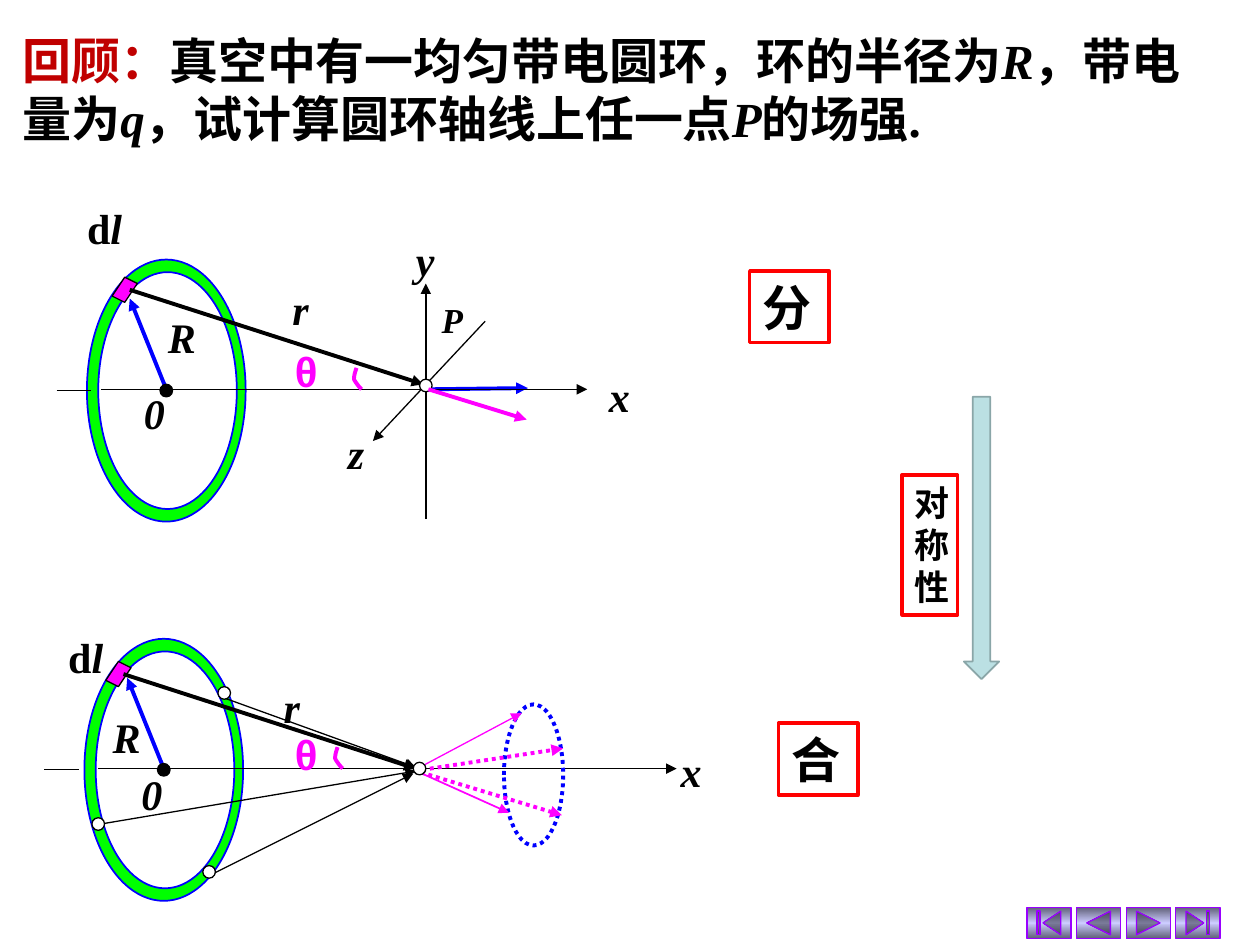
from copy import deepcopy

from lxml.etree import SubElement
from pptx import Presentation
from pptx.dml.color import RGBColor
from pptx.enum.dml import MSO_LINE
from pptx.enum.shapes import MSO_CONNECTOR, MSO_SHAPE
from pptx.enum.text import MSO_ANCHOR, MSO_AUTO_SIZE, PP_ALIGN
from pptx.oxml.ns import qn
from pptx.util import Inches, Pt

COLUMNS = 100
BLACK, WHITE, BLUE, PINK, GREEN, RED = "000000", "FFFFFF", "0000FF", "FF00FF", "00FF00", "FF0000"
ITALIC = {"italic": True}


def colour(code):
    return RGBColor.from_string(code)


def bezier(start, first, second, end, steps=8):
    for step in range(1, steps + 1):
        t = step / steps
        weights = ((1 - t) ** 3, 3 * t * (1 - t) ** 2, 3 * t * t * (1 - t), t ** 3)
        points = (start, first, second, end)
        yield tuple(sum(w * p[axis] for w, p in zip(weights, points)) for axis in (0, 1))


class Board:
    font = {"name": "Times New Roman", "size": Pt(24), "bold": True, "italic": False}

    def __init__(self, deck):
        self.unit = deck.slide_width / COLUMNS
        self.page = deck.slides.add_slide(deck.slide_layouts[6])
        self.shapes = self.page.shapes

    def grid(self, *lengths):
        return [round(length * self.unit) for length in lengths]

    def start_group(self):
        self.shapes = self.page.shapes.add_group_shape().shapes

    def end_group(self):
        self.shapes = self.page.shapes

    def outline(self, line, code, width, dash=None):
        line.color.rgb = colour(code)
        for name, value in {"width": Pt(width), "dash_style": dash}.items():
            setattr(line, name, value)

    def finish(self, shape, fill, code, width, dash=None):
        shape.shadow.inherit = False
        if fill:
            shape.fill.solid()
            shape.fill.fore_color.rgb = colour(fill)
        else:
            shape.fill.background()
        self.outline(shape.line, code, width, dash)
        return shape

    def shape(self, kind, place, fill, code, width, dash=None):
        shape = self.shapes.add_shape(kind, *self.grid(*place))
        return self.finish(shape, fill, code, width, dash)

    def ellipse(self, *style):
        return self.shape(MSO_SHAPE.OVAL, *style)

    def dot(self, x, y, fill):
        self.ellipse((x - 0.5, y - 0.5, 1, 1), fill, BLACK, 0.75)

    def polyline(self, points, fill, code, width, closed):
        start, *rest = [self.grid(*point) for point in points]
        builder = self.shapes.build_freeform(*start)
        builder.add_line_segments(rest, close=closed)
        self.finish(builder.convert_to_shape(), fill, code, width)

    def line(self, start, end, code=BLACK, width=0.75, dash=None, arrow=True):
        line = self.shapes.add_connector(MSO_CONNECTOR.STRAIGHT, *self.grid(*start, *end))
        self.outline(line.line, code, width, dash)
        if arrow:
            SubElement(line.line._get_or_add_ln(), qn("a:tailEnd"), type="triangle")
        SubElement(line._element.spPr, qn("a:effectLst"))

    def fill_text(self, box, spans, wrap, align, **changes):
        frame = box.text_frame
        settings = {"word_wrap": wrap, "auto_size": MSO_AUTO_SIZE.SHAPE_TO_FIT_TEXT,
                    "vertical_anchor": MSO_ANCHOR.TOP}
        for name, value in settings.items():
            setattr(frame, name, value)
        para = frame.paragraphs[0]
        para.alignment = align
        for text, code, extra in spans:
            span = para.add_run()
            span.text = text
            span.font.color.rgb = colour(code)
            for name, value in {**self.font, **changes, **extra}.items():
                setattr(span.font, name, value)

    def text(self, place, spans, wrap=False, align=PP_ALIGN.CENTER, **changes):
        box = self.shapes.add_textbox(*self.grid(*place))
        self.fill_text(box, spans, wrap, align, **changes)

    def label(self, letter, x, y, width=3.7, height=5, code=BLACK, **changes):
        self.text((x, y, width, height), [(letter, code, {})], **{**ITALIC, **changes})

    def framed(self, words, place, size):
        box = self.shape(MSO_SHAPE.RECTANGLE, place, None, RED, 2)
        self.fill_text(box, [(words, BLACK, {})], True, PP_ALIGN.LEFT, name="Arial", size=Pt(size))

    def button(self, kind, x, y):
        button = self.shape(kind, (x, y, 3.5, 2.5), None, "9900FF", 0.75)
        button.fill.gradient()
        button.fill.gradient_angle = 90
        stops = next(button._element.iter(qn("a:gsLst")))
        stops.append(deepcopy(stops[0]))
        for stop, code, position in zip(button.fill.gradient_stops,
                                        ("5E5E76", "CCCCFF", "5E5E76"), (0, 0.5, 1)):
            stop.color.rgb = colour(code)
            stop.position = position

    def ring(self, x, y, axis_end, stub, patch, tip):
        self.ellipse((x - 6.3, y - 10.4, 12.6, 20.8), GREEN, BLUE, 1)
        self.ellipse((x - 5.4, y - 9.4, 11, 18.8), WHITE, BLUE, 1)
        self.line((x - 5.2, y - 0.1), (axis_end, y - 0.1))
        self.line((stub, y), (stub + 2.75, y), arrow=False)
        self.line((x, y - 0.1), (x - 2.9, y - 7.3), BLUE, 2.25)
        self.dot(x, y, BLACK)
        left, top = patch
        corners = ((1, 0), (2, 0.5), (1, 2), (0, 1.5))
        self.polyline([(left + dx, top + dy) for dx, dy in corners], PINK, BLACK, 0.75, True)
        self.line((left + 1.4, top + 1), tip, width=2.25)

    def angle(self, x, y, theta_y):
        start, middle, end = (x + 0.2, y), (x, y + 0.9), (x + 0.6, y + 1.7)
        points = [start, *bezier(start, (x + 0.1, y + 0.3), (x, y + 0.6), middle),
                  *bezier(middle, (x + 0.1, y + 1.1), (x + 0.3, y + 1.4), end)]
        self.polyline(points, None, PINK, 2.25, False)
        self.label("θ", 22.4, theta_y, 3.8, code=PINK, name="Arial", italic=False)

    def element_label(self, x, y):
        self.text((x, y, 4.8, 5), [("d", BLACK, {}), ("l", BLACK, ITALIC)])


def draw_division(board):
    board.start_group()
    board.line((33.9, 30.9), (41.9, 30.8), BLUE, 2.25)
    board.line((33.8, 41.2), (33.8, 22.5))
    board.line((38.5, 25.5), (29.6, 35))
    board.ring(13.2, 31, 46.6, 4.5, (8.9, 22), (33.6, 30.5))
    board.dot(33.8, 30.6, WHITE)
    board.line((34, 30.9), (41.8, 33.3), PINK, 2.25)
    board.angle(28.1, 29.2, 26.9)
    board.element_label(5.9, 15.6)
    for letter, x, y in (("y", 31.9, 18.1), ("z", 26.4, 33.4), ("r", 22, 22),
                         ("x", 47.3, 28.9), ("R", 12.35, 24.2), ("0", 10.4, 30.3)):
        board.label(letter, x, y)
    board.label("P", 33.9, 23.2, 4, 4.3, size=Pt(20))
    board.end_group()


def draw_sum(board):
    board.start_group()
    board.ring(13, 61.1, 53.7, 3.5, (8.4, 52.5), (33, 61))
    for start, end in (((16.6, 69.5), (32.8, 61.4)), ((7.4, 65.5), (33, 61.2)),
                       ((17.8, 55.4), (33, 60.9))):
        board.line(start, end)
    dots = MSO_LINE.ROUND_DOT
    board.ellipse((40, 55.9, 4.7, 11.2), None, BLUE, 2.25, dots)
    for start, end, width, dash in (((33.5, 60.8), (41.4, 56.6), 0.75, None),
                                    ((33.5, 61.1), (44.7, 59.4), 2.25, dots),
                                    ((33.4, 61.3), (44.6, 64.7), 2.25, dots),
                                    ((33.5, 61.4), (40.4, 64.5), 1, None)):
        board.line(start, end, PINK, width, dash)
    for x, y in ((33.3, 61), (7.8, 65.4), (16.6, 69.2), (17.8, 55)):
        board.dot(x, y, WHITE)
    board.angle(26.6, 59.3, 57.3)
    board.element_label(4.4, 49.6)
    for letter, x, y in (("x", 53, 58.7), ("R", 7.95, 56), ("0", 10.2, 60.5), ("r", 21.3, 53.6)):
        board.label(letter, x, y)
    board.end_group()


def main():
    deck = Presentation()
    deck.slide_width, deck.slide_height = Inches(10), Inches(7.5)
    board = Board(deck)
    buttons = (MSO_SHAPE.ACTION_BUTTON_BEGINNING, MSO_SHAPE.ACTION_BUTTON_BACK_OR_PREVIOUS,
               MSO_SHAPE.ACTION_BUTTON_FORWARD_OR_NEXT, MSO_SHAPE.ACTION_BUTTON_END)
    for index, kind in enumerate(buttons):
        board.button(kind, 81.5 + 3.94 * index, 72)
    board.text((0.8, 1.9, 96.6, 10.4), [
        ("回顾：", "C00000", {}), ("真空中有一均匀带电圆环，环的半径为", BLACK, {}),
        ("R", BLACK, ITALIC), ("，带电量为", BLACK, {}), ("q", BLACK, ITALIC),
        ("，试计算圆环轴线上任一点", BLACK, {}), ("P", BLACK, ITALIC), ("的场强.", BLACK, {}),
    ], True, PP_ALIGN.LEFT, size=Pt(28))
    draw_division(board)
    draw_sum(board)
    board.framed("分", (59.5, 21.5, 6.3, 5.7), 28)
    board.shape(MSO_SHAPE.DOWN_ARROW, (76.5, 31.5, 2.8, 22.4), "BBE0E3", "8AA6A8", 1)
    board.framed("合", (61.8, 57.4, 6.3, 5.7), 28)
    board.framed("对称性", (71.6, 37.7, 4.4, 11.1), 20)
    deck.save("out.pptx")


if __name__ == "__main__":
    main()
